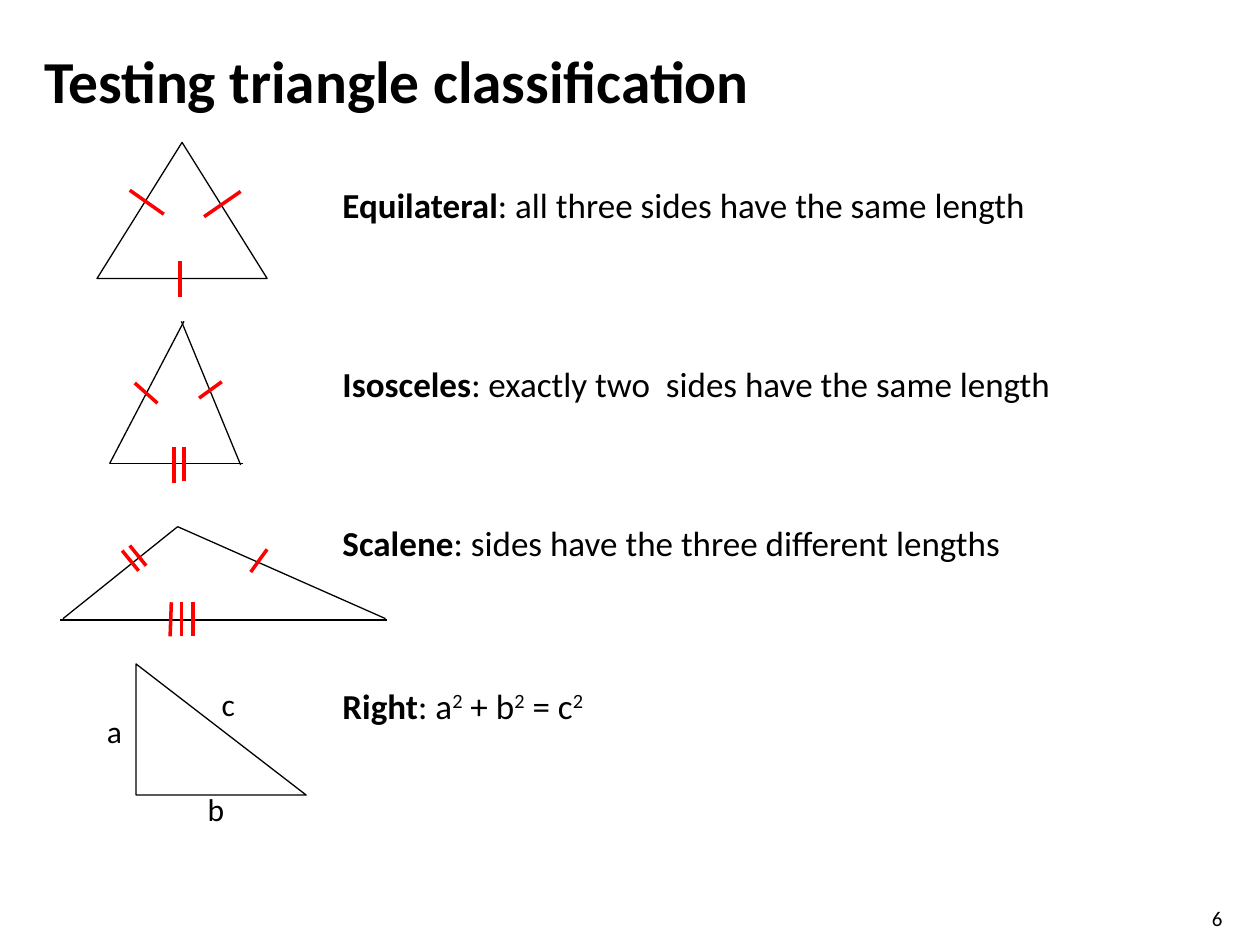
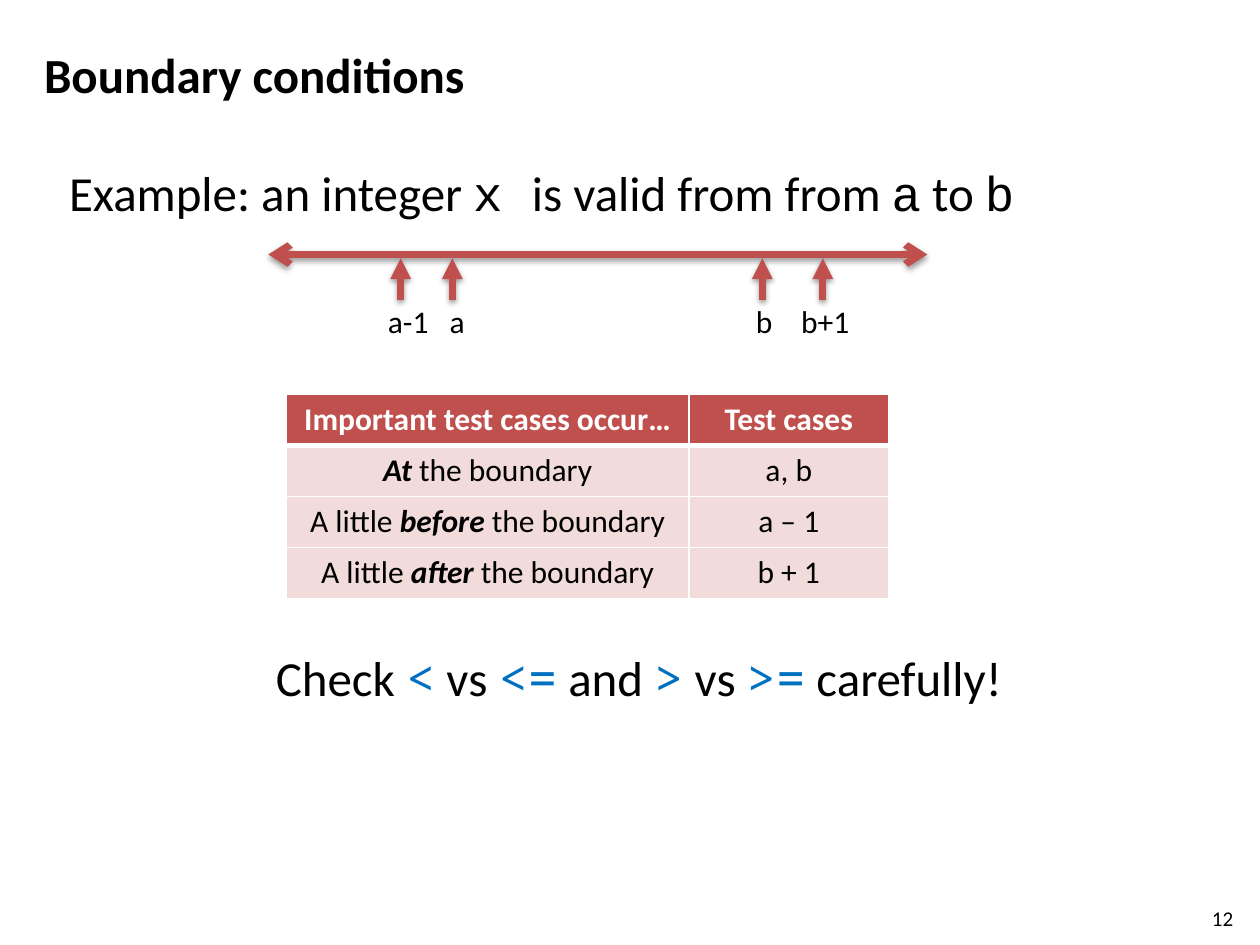
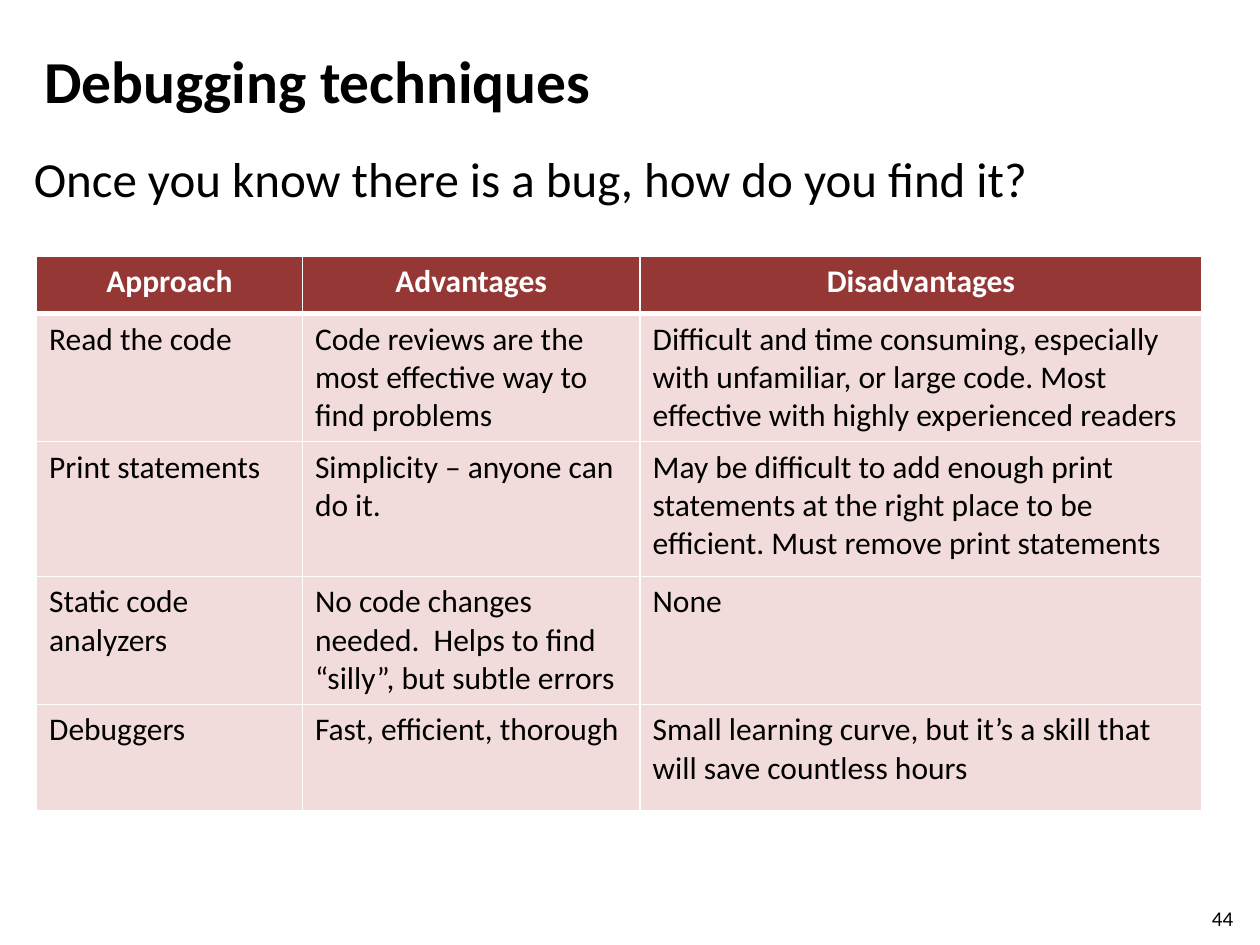
from typing import NamedTuple

from lxml import etree
from pptx import Presentation
from pptx.dml.color import RGBColor
from pptx.enum.shapes import MSO_CONNECTOR, MSO_SHAPE
from pptx.enum.text import MSO_ANCHOR, MSO_AUTO_SIZE, PP_ALIGN
from pptx.oxml.ns import qn
from pptx.util import Inches, Pt

BLACK = RGBColor(0x00, 0x00, 0x00)
WHITE = RGBColor(0xFF, 0xFF, 0xFF)
TICK_RED = RGBColor(0xFF, 0x00, 0x00)
BRICK = RGBColor(0xC0, 0x50, 0x4D)
DARK_BRICK = RGBColor(0x95, 0x37, 0x35)
PALE_ROSE = RGBColor(0xF2, 0xDC, 0xDB)
OPERATOR_BLUE = RGBColor(0x00, 0x70, 0xC0)

BODY_FONT = "Calibri"
CODE_FONT = "Courier New"
OPERATOR_FONT = "Noto Sans Mono"

LEFT, CENTER = PP_ALIGN.LEFT, PP_ALIGN.CENTER
TOP = MSO_ANCHOR.TOP
FIXED_SIZE = MSO_AUTO_SIZE.NONE
STRAIGHT = MSO_CONNECTOR.STRAIGHT
TRIANGLE, RIGHT_TRIANGLE = MSO_SHAPE.ISOSCELES_TRIANGLE, MSO_SHAPE.RIGHT_TRIANGLE
TITLE_ONLY_LAYOUT = 5


class Span(NamedTuple):
    text: str
    bold: bool = False
    italic: bool = False
    font: str = BODY_FONT
    color: RGBColor = BLACK
    superscript: bool = False


class Box(NamedTuple):
    left: float
    top: float
    width: float
    height: float

    def lengths(self) -> list:
        return [Inches(value) for value in self]


class Segment(NamedTuple):
    x1: float
    y1: float
    x2: float
    y2: float


class LineStyle(NamedTuple):
    color: RGBColor
    width: float
    head: str = ""
    tail: str = ""
    shadow: bool = False


class Definition(NamedTuple):
    top: float
    spans: list


SIDE = LineStyle(BLACK, 0.75)
TICK = LineStyle(TICK_RED, 2)
NUMBER_LINE = LineStyle(BRICK, 4, head="arrow", tail="arrow", shadow=True)
POINTER = LineStyle(BRICK, 4, head="triangle", shadow=True)

EQUILATERAL_TICKS = [
    Segment(1.43, 2.07, 1.43, 2.36),
    Segment(1.03, 1.51, 1.3, 1.7),
    Segment(1.62, 1.72, 1.91, 1.52),
]
ISOSCELES_SIDES = [
    Segment(1.46, 2.55, 0.87, 3.68),
    Segment(1.44, 2.55, 1.91, 3.69),
    Segment(0.87, 3.68, 1.93, 3.68),
]
ISOSCELES_TICKS = [
    Segment(1.38, 3.55, 1.38, 3.83),
    Segment(1.46, 3.55, 1.46, 3.82),
    Segment(1.76, 3.03, 1.58, 3.16),
    Segment(1.25, 3.2, 1.07, 3.04),
]
SCALENE_SIDES = [
    Segment(1.41, 4.18, 0.5, 4.91),
    Segment(1.41, 4.18, 3.06, 4.91),
    Segment(0.48, 4.92, 3.07, 4.92),
]
SCALENE_TICKS = [
    Segment(1.36, 4.78, 1.35, 5.05),
    Segment(1.44, 4.78, 1.44, 5.05),
    Segment(1.53, 4.78, 1.53, 5.05),
    Segment(2.12, 4.36, 1.99, 4.54),
    Segment(1.1, 4.53, 0.97, 4.37),
    Segment(1.16, 4.49, 1.03, 4.33),
]
RIGHT_LABELS = {
    "c": Box(1.66, 5.39, 0.38, 0.4),
    "a": Box(0.75, 5.6, 0.23, 0.4),
    "b": Box(1.55, 6.22, 0.54, 0.4),
}
SQUARED = Span("2", superscript=True)
DEFINITIONS = [
    Definition(1.41, [Span("Equilateral", bold=True),
                      Span(": all three sides have the same length")]),
    Definition(2.83, [Span("Isosceles", bold=True),
                      Span(": exactly two  sides have the same length")]),
    Definition(4.09, [Span("Scalene", bold=True),
                      Span(": sides have the three different lengths")]),
    Definition(5.38, [Span("Right", bold=True), Span(": a"), SQUARED,
                      Span(" + b"), SQUARED, Span(" = c"), SQUARED]),
]

BOUNDARY_ROWS = [
    [[Span("Important test cases occur…")], [Span("Test cases")]],
    [[Span("At", True, True), Span(" the boundary")], [Span("a, b")]],
    [[Span("A little "), Span("before", True, True), Span(" the boundary")],
     [Span("a – 1")]],
    [[Span("A little "), Span("after", True, True), Span(" the boundary")],
     [Span("b + 1")]],
]
TECHNIQUES = [
    ["Approach", "Advantages", "Disadvantages"],
    ["Read the code",
     "Code reviews are the most effective way to find problems",
     "Difficult and time consuming, especially with unfamiliar, or large code. "
     "Most effective with highly experienced readers"],
    ["Print statements",
     "Simplicity – anyone can do it.",
     "May be difficult to add enough print statements at the right place to be "
     "efficient. Must remove print statements"],
    ["Static code analyzers",
     "No code changes needed.  Helps to find “silly”, but subtle errors",
     "None"],
    ["Debuggers",
     "Fast, efficient, thorough",
     "Small learning curve, but it’s a skill that will save countless hours"],
]


def write_spans(paragraph, spans: list, size: float, align=LEFT) -> None:
    paragraph.alignment = align
    for span in spans:
        run = paragraph.add_run()
        run.text = span.text
        font = run.font
        font.name, font.size = span.font, Pt(size)
        font.bold, font.italic = span.bold, span.italic
        font.color.rgb = span.color
        if span.superscript:
            run._r.get_or_add_rPr().set("baseline", "30000")


def add_text(shapes, box: Box, spans: list, size: float, align=LEFT):
    """Add a one-paragraph text box and return its paragraph."""
    text_frame = shapes.add_textbox(*box.lengths()).text_frame
    text_frame.word_wrap = True
    text_frame.auto_size = FIXED_SIZE
    text_frame.vertical_anchor = TOP
    paragraph = text_frame.paragraphs[0]
    write_spans(paragraph, spans, size, align)
    return paragraph


def add_titled_slide(presentation, title: str, number: int, size: float = 34):
    slide = presentation.slides.add_slide(presentation.slide_layouts[TITLE_ONLY_LAYOUT])
    placeholder = slide.shapes.title
    placeholder.left, placeholder.top, placeholder.width, placeholder.height = Box(
        0.25, 0.3, 8.67, 0.7).lengths()
    placeholder.text_frame.vertical_anchor = TOP
    placeholder.text_frame.auto_size = FIXED_SIZE
    write_spans(placeholder.text_frame.paragraphs[0], [Span(title, bold=True)], size)
    add_text(slide.shapes, Box(9.52, 7.14, 0.4, 0.24), [Span(str(number))], 12)
    return slide


def add_line(shapes, segment: Segment, style: LineStyle) -> None:
    connector = shapes.add_connector(STRAIGHT, *[Inches(value) for value in segment])
    connector.line.color.rgb = style.color
    connector.line.width = Pt(style.width)
    properties = connector.element.spPr
    outline = properties.find(qn("a:ln"))
    for tag, kind in (("a:headEnd", style.head), ("a:tailEnd", style.tail)):
        if kind:
            etree.SubElement(outline, qn(tag), type=kind)
    effects = etree.SubElement(properties, qn("a:effectLst"))
    if style.shadow:
        shadow = etree.SubElement(effects, qn("a:outerShdw"), blurRad=str(Pt(3.1)),
                                  dist=str(Pt(1.6)), dir="5400000", rotWithShape="0")
        color = etree.SubElement(shadow, qn("a:srgbClr"), val=str(BLACK))
        etree.SubElement(color, qn("a:alpha"), val="38000")


def add_lines(shapes, segments: list, style: LineStyle) -> None:
    for segment in segments:
        add_line(shapes, segment, style)


def add_outline(shapes, kind, box: Box) -> None:
    shape = shapes.add_shape(kind, *box.lengths())
    shape.shadow.inherit = False
    shape.fill.background()
    shape.line.color.rgb = SIDE.color
    shape.line.width = Pt(SIDE.width)


def style_cell(cell, fill: RGBColor, top_width: float, bottom_width: float) -> None:
    properties = cell._tc.get_or_add_tcPr()
    widths = {"a:lnL": 1, "a:lnR": 1, "a:lnT": top_width, "a:lnB": bottom_width}
    for tag, width in widths.items():
        border = etree.SubElement(properties, qn(tag), w=str(Pt(width)))
        solid = etree.SubElement(border, qn("a:solidFill"))
        etree.SubElement(solid, qn("a:srgbClr"), val=str(WHITE))
    cell.fill.solid()
    cell.fill.fore_color.rgb = fill


def add_grid(slide, left: float, top: float, widths: list, heights: list,
             rows: list, header_fill: RGBColor, body_align) -> None:
    """Add a table whose first row is a coloured header; cells are lists of spans."""
    box = Box(left, top, sum(widths), sum(heights))
    table = slide.shapes.add_table(len(rows), len(widths), *box.lengths()).table
    table.horz_banding = False
    for column, width in zip(table.columns, widths):
        column.width = Inches(width)
    for row_index, (row, height) in enumerate(zip(rows, heights)):
        table.rows[row_index].height = Inches(height)
        is_header = row_index == 0
        for column_index, spans in enumerate(row):
            cell = table.cell(row_index, column_index)
            style_cell(cell, header_fill if is_header else PALE_ROSE,
                       3 if row_index == 1 else 1, 3 if is_header else 1)
            if is_header:
                spans = [span._replace(bold=True, color=WHITE) for span in spans]
            write_spans(cell.text_frame.paragraphs[0], spans, 18,
                        CENTER if is_header else body_align)


def add_tab_stops(paragraph, positions: list) -> None:
    tab_list = etree.SubElement(paragraph._p.get_or_add_pPr(), qn("a:tabLst"))
    for position in positions:
        etree.SubElement(tab_list, qn("a:tab"), pos=str(Inches(position)), algn="l")


def build_triangles(presentation) -> None:
    slide = add_titled_slide(presentation, "Testing triangle classification", 6)
    equilateral = slide.shapes.add_group_shape().shapes
    add_outline(equilateral, TRIANGLE, Box(0.77, 1.13, 1.35, 1.08))
    add_lines(equilateral, EQUILATERAL_TICKS, TICK)

    for definition in DEFINITIONS:
        add_text(slide.shapes, Box(2.62, definition.top, 6.04, 0.44),
                 definition.spans, 20)

    right = slide.shapes.add_group_shape().shapes
    add_outline(right, RIGHT_TRIANGLE, Box(1.08, 5.27, 1.35, 1.04))
    for label, box in RIGHT_LABELS.items():
        add_text(right, box, [Span(label)], 18)

    isosceles = slide.shapes.add_group_shape().shapes
    for shapes, sides, ticks in ((isosceles, ISOSCELES_SIDES, ISOSCELES_TICKS),
                                 (slide.shapes, SCALENE_SIDES, SCALENE_TICKS)):
        add_lines(shapes, sides, SIDE)
        add_lines(shapes, ticks, TICK)


def build_boundaries(presentation) -> None:
    slide = add_titled_slide(presentation, "Boundary conditions", 12, size=28)
    example = [Span("Example: an integer "), Span("x ", font=CODE_FONT),
               Span("is valid from from "), Span("a", font=CODE_FONT),
               Span(" to "), Span("b", font=CODE_FONT)]
    add_text(slide.shapes, Box(0.45, 1.24, 8.54, 1.85), example, 28)

    labels = add_text(slide.shapes, Box(2.98, 2.35, 4, 0.51),
                      [Span("a-1\ta\tb\tb+1")], 18)
    add_tab_stops(labels, [0.49, 2.92, 3.28])
    add_line(slide.shapes, Segment(2.13, 2.02, 7.36, 2.02), NUMBER_LINE)
    for x in (3.18, 3.59, 6.05, 6.53):
        add_line(slide.shapes, Segment(x, 2.05, x, 2.38), POINTER)

    add_grid(slide, 2.27, 3.13, [3.2, 1.58], [0.4] * len(BOUNDARY_ROWS),
             BOUNDARY_ROWS, BRICK, CENTER)

    less, less_equal, greater, greater_equal = [
        Span(operator, font=OPERATOR_FONT, color=OPERATOR_BLUE)
        for operator in ("<", "<=", ">", ">=")]
    advice = [Span("Check "), less, Span(" vs "), less_equal, Span(" and "),
              greater, Span(" vs "), greater_equal, Span(" carefully!")]
    add_text(slide.shapes, Box(0.8, 5.09, 8.54, 1.85), advice, 28, CENTER)


def build_techniques(presentation) -> None:
    slide = add_titled_slide(presentation, "Debugging techniques", 44)
    add_text(slide.shapes, Box(0.17, 1.13, 9.3, 0.7),
             [Span("Once you know there is a bug, how do you find it?")], 28)
    rows = [[[Span(text)] for text in row] for row in TECHNIQUES]
    add_grid(slide, 0.29, 2.03, [2.11, 2.68, 4.46], [0.46, 1.01, 1.07, 1.01, 0.84],
             rows, DARK_BRICK, LEFT)


def main() -> None:
    presentation = Presentation()
    presentation.slide_width = Inches(10)
    presentation.slide_height = Inches(7.5)
    build_triangles(presentation)
    build_boundaries(presentation)
    build_techniques(presentation)
    presentation.save("out.pptx")


if __name__ == "__main__":
    main()
